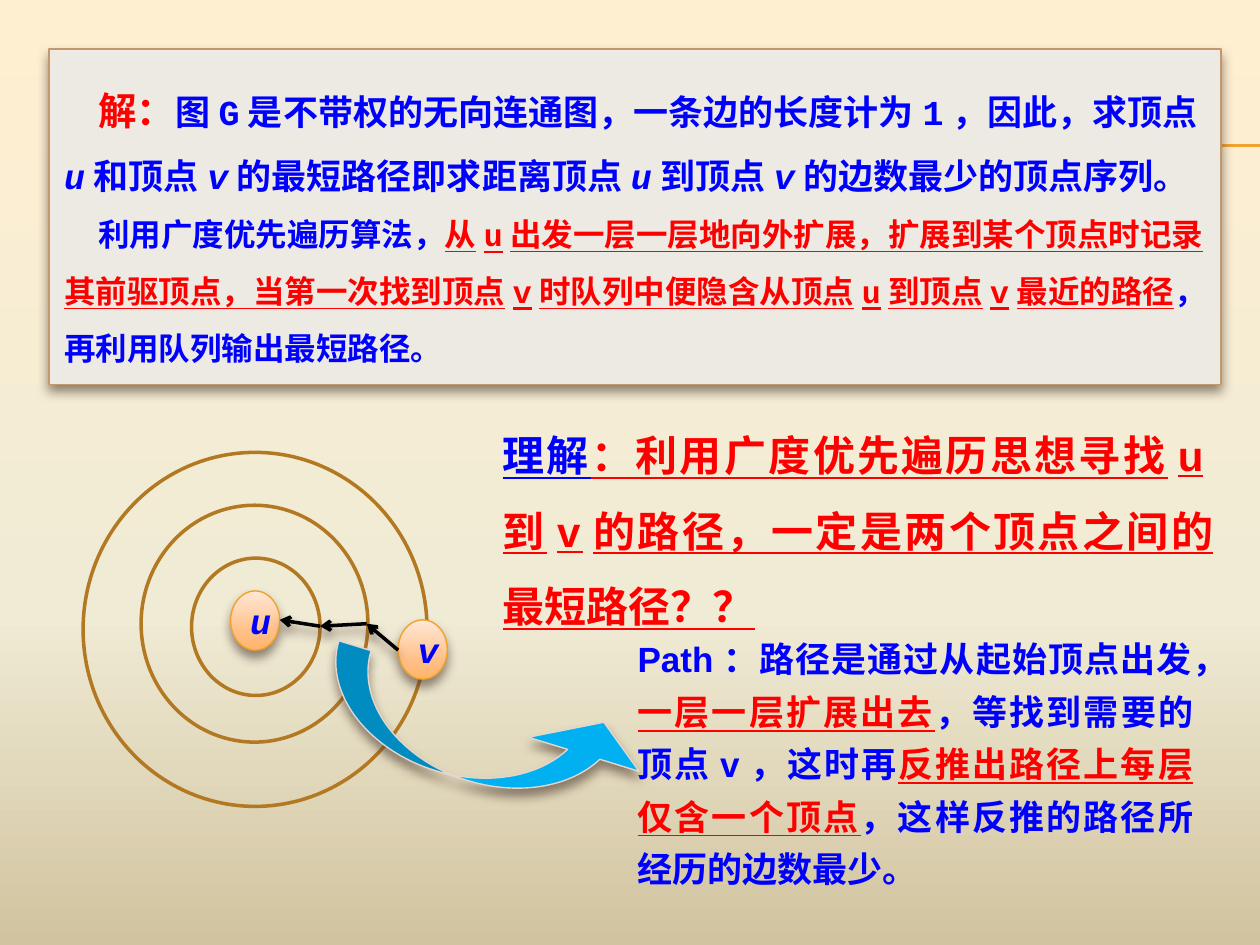
from dataclasses import dataclass
from itertools import pairwise
from typing import Optional

from lxml import etree
from pptx import Presentation
from pptx.dml.color import RGBColor
from pptx.enum.shapes import MSO_CONNECTOR, MSO_SHAPE
from pptx.enum.text import MSO_ANCHOR, PP_ALIGN
from pptx.oxml.ns import qn
from pptx.util import Inches, Pt

OVAL, RECT, CURVED_ARROW = MSO_SHAPE.OVAL, MSO_SHAPE.RECTANGLE, MSO_SHAPE.CURVED_UP_ARROW
STRAIGHT = MSO_CONNECTOR.STRAIGHT
MIDDLE = MSO_ANCHOR.MIDDLE
CENTER, JUSTIFY, LEFT = PP_ALIGN.CENTER, PP_ALIGN.JUSTIFY, PP_ALIGN.LEFT


@dataclass(frozen=True)
class Theme:
    blue: str = "0000FF"
    red: str = "FF0000"
    black: str = "000000"
    gold: str = "F0A22E"
    ring: str = "B27822"
    panel: str = "ECEAE3"
    panel_edge: str = "C3986D"
    arrow: str = "00B0F0"
    arrow_edge: str = "E2D6CF"
    shadow: str = "4E3B30"
    backdrop: tuple = ((0, "FFEFD1"), (65, "F0EBD5"), (100, "D1C39F"))
    node: tuple = ((0, "FFE7D7"), (72, "FFBE84"), (100, "FFB468"))
    mono: str = "Courier New"
    sans: str = "Arial"
    cjk: str = "Noto Sans CJK SC"
    label: int = 22
    heading: int = 24
    body: int = 20
    small: int = 18
    thin: float = 0.79
    thick: float = 2


T = Theme()


@dataclass(frozen=True)
class Box:
    x: float
    y: float
    w: float
    h: float

    def emu(self) -> tuple:
        return tuple(Inches(v) for v in (self.x, self.y, self.w, self.h))


@dataclass(frozen=True)
class Span:
    text: str
    color: str = T.blue
    italic: bool = False
    underline: bool = False
    size: Optional[int] = None
    font: Optional[str] = None


def key(text: str) -> Span:
    return Span(text, T.red, underline=True)


def var(text: str) -> Span:
    return Span(text, italic=True)


def set_gradient(fill, element, stops: tuple) -> None:
    fill.gradient()
    fill.gradient_angle = 270
    gs_lst = element.find(".//" + qn("a:gsLst"))
    for gs in list(gs_lst):
        gs_lst.remove(gs)
    for pos, color in stops:
        gs = etree.SubElement(gs_lst, qn("a:gs"), pos=str(pos * 1000))
        etree.SubElement(gs, qn("a:srgbClr"), val=color)


def set_effects(shape, shadow: bool) -> None:
    effects = etree.SubElement(shape._element.spPr, qn("a:effectLst"))
    if shadow:
        outer = etree.SubElement(effects, qn("a:outerShdw"), blurRad=str(Pt(6)), dist=str(Pt(4)),
                                 dir="5400000", algn="ctr", rotWithShape="0")
        color = etree.SubElement(outer, qn("a:srgbClr"), val=T.shadow)
        etree.SubElement(color, qn("a:alpha"), val="60000")


def set_line(line, color: str, width: float) -> None:
    line.color.rgb = RGBColor.from_string(color)
    line.width = Pt(width)


def add_shape(s, kind, box: Box, fill, edge: str, width: float, shadow: bool = True):
    sp = s.shapes.add_shape(kind, *box.emu())
    if fill is None:
        sp.fill.background()
    elif isinstance(fill, tuple):
        set_gradient(sp.fill, sp._element, fill)
    else:
        sp.fill.solid()
        sp.fill.fore_color.rgb = RGBColor.from_string(fill)
    set_line(sp.line, edge, width)
    set_effects(sp, shadow)
    return sp


def add_line(s, start: tuple, end: tuple, color: str, width: float, arrow: bool = False) -> None:
    cx = s.shapes.add_connector(STRAIGHT, *(Inches(v) for v in start + end))
    set_line(cx.line, color, width)
    if arrow:
        etree.SubElement(cx.line._get_or_add_ln(), qn("a:tailEnd"), type="arrow")
    set_effects(cx, arrow)


def write(p, spans: list, size: int, font: str, align=LEFT, spacing=None, indent: float = 0) -> None:
    p.alignment = align
    if spacing:
        p.line_spacing = spacing
    if indent:
        p._p.get_or_add_pPr().set("indent", str(Inches(indent)))
    for span in spans:
        r = p.add_run()
        r.text = span.text
        f = r.font
        f.name, f.size = span.font or font, Pt(span.size or size)
        f.bold, f.italic, f.underline = True, span.italic, span.underline
        f.color.rgb = RGBColor.from_string(span.color)
        r._r.rPr.find(qn("a:latin")).addnext(etree.Element(qn("a:ea"), typeface=T.cjk))


def add_text(s, box: Box, spans: list, size: int, spacing, margin: Optional[float] = None) -> None:
    tf = s.shapes.add_textbox(*box.emu()).text_frame
    tf.word_wrap = True
    if margin is not None:
        tf.margin_left = tf.margin_right = tf.margin_top = tf.margin_bottom = Inches(margin)
    write(tf.paragraphs[0], spans, size, T.sans, JUSTIFY, spacing)


def add_node(s, x: float, y: float, name: str) -> None:
    tf = add_shape(s, OVAL, Box(x, y, 0.39, 0.47), T.node, T.gold, T.thin).text_frame
    tf.vertical_anchor = MIDDLE
    write(tf.paragraphs[0], [var(name)], T.body, T.mono, CENTER)


def add_solution(s) -> None:
    sp = add_shape(s, RECT, Box(0.39, 0.39, 9.3, 2.66), T.panel, T.panel_edge, T.thin)
    tf = sp.text_frame
    tf.word_wrap = True
    tf.vertical_anchor = MSO_ANCHOR.TOP
    tf.margin_left = tf.margin_top = tf.margin_bottom = Inches(0.12)
    tf.margin_right = 0
    write(tf.paragraphs[0], [
        Span("解：", T.red, size=T.label, font=T.cjk),
        Span("图G是不带权的无向连通图，一条边的长度计为1，因此，求顶点"), var("u"),
        Span("和顶点"), var("v"), Span("的最短路径即求距离顶点"), var("u"),
        Span("到顶点"), var("v"), Span("的边数最少的顶点序列。"),
    ], T.body, T.mono, spacing=1.5, indent=0.27)
    write(tf.add_paragraph(), [
        Span("利用广度优先遍历算法，"),
        key("从u出发一层一层地向外扩展，扩展到某个顶点时记录其前驱顶点，"
            "当第一次找到顶点v时队列中便隐含从顶点u到顶点v最近的路径"),
        Span("，再利用队列输出最短路径。"),
    ], T.small, T.mono, spacing=1.5, indent=0.27)


def main() -> None:
    prs = Presentation()
    prs.slide_width, prs.slide_height = Inches(10), Inches(7.5)
    s = prs.slides.add_slide(prs.slide_layouts[6])

    # Background and double rule
    set_gradient(s.background.fill, s._element, T.backdrop)
    for y in (1.15, 1.16):
        add_line(s, (0.56, y), (10, y), T.gold, 0.75)

    add_solution(s)

    # Search layers around u
    for box in (Box(1.52, 4.43, 1.02, 1.09), Box(1.12, 4.01, 1.8, 1.88), Box(0.66, 3.59, 2.73, 2.81)):
        add_shape(s, OVAL, box, None, T.ring, T.thick, shadow=False)
    add_node(s, 1.83, 4.69, "u")
    add_node(s, 3.16, 4.92, "v")

    # Path traced back from v to u
    stops = [(3.16, 5.16), (2.91, 4.95), (2.54, 4.97), (2.22, 4.92)]
    for start, end in pairwise(stops):
        add_line(s, start, end, T.black, T.thick, arrow=True)

    # Curved arrow to the explanation
    sp = add_shape(s, CURVED_ARROW, Box(2.52, 5.46, 2.66, 0.76), T.arrow, T.arrow_edge, T.thin)
    sp.rotation = 17.1
    for i, value in enumerate((0.352, 1.211, 0.382)):
        sp.adjustments[i] = value

    # Explanation and question
    add_text(s, Box(5.06, 4.98, 4.41, 2.1), [
        Span("Path：路径是通过从起始顶点出发，"), key("一层一层扩展出去"),
        Span("，等找到需要的顶点v，这时再"), key("反推出路径上每层仅含一个顶点"),
        Span("，这样反推的路径所经历的边数最少。"),
    ], T.body, Pt(30), margin=0)
    add_text(s, Box(3.89, 3.16, 5.84, 1.92), [
        Span("理解", underline=True, font=T.cjk),
        key("：利用广度优先遍历思想寻找u到v的路径，一定是两个顶点之间的最短路径？？"),
    ], T.heading, 1.5)

    prs.save("out.pptx")


if __name__ == "__main__":
    main()
